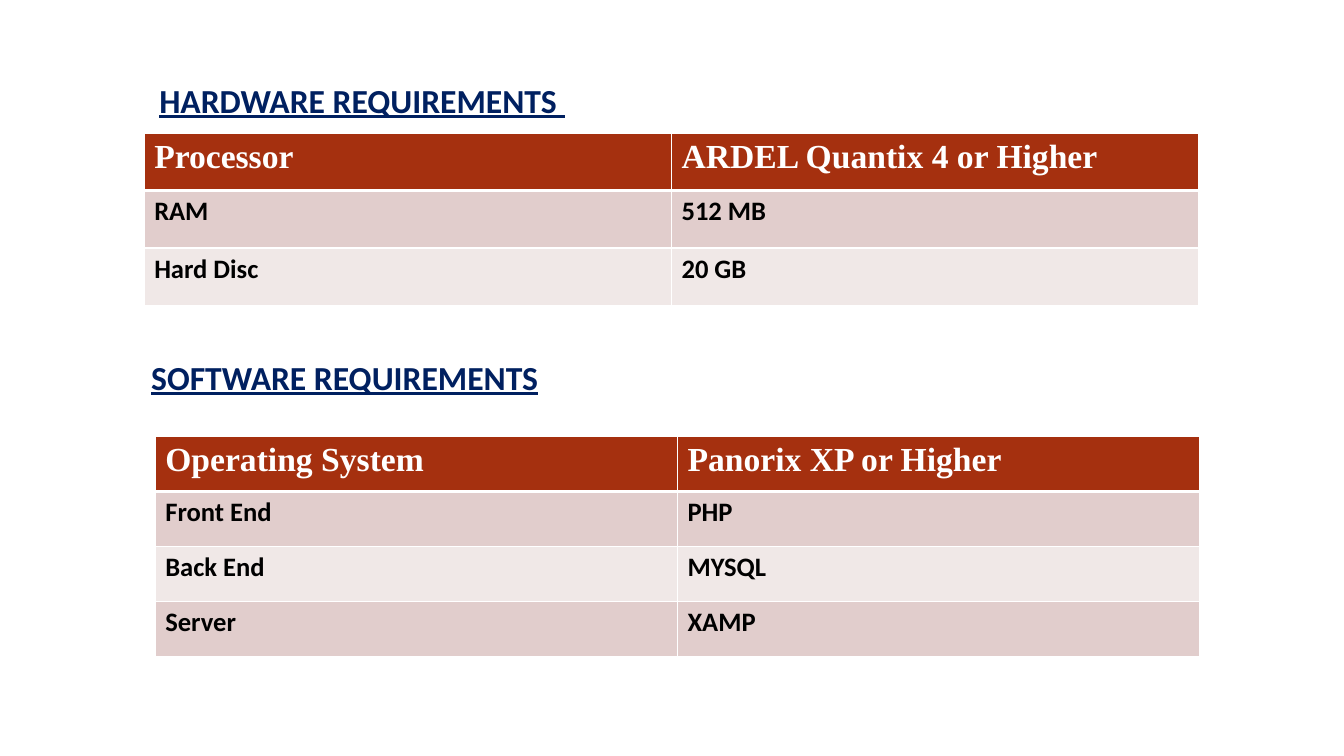
"""Build the hardware and software requirements slide."""
from lxml import etree
from pptx import Presentation
from pptx.dml.color import RGBColor
from pptx.oxml.ns import qn
from pptx.util import Emu, Inches, Pt

COLORS = {
    "heading": "002060",
    "header": "A5300F",
    "odd": "E1CDCC",
    "even": "F0E8E7",
    "light": "FFFFFF",
    "dark": "000000",
}
SECTIONS = [
    {
        "heading": "HARDWARE REQUIREMENTS ",
        "heading_at": (1.58, 0.79),
        "table_at": (1.43, 1.32),
        "size": (10.46, 1.71),
        "rows": [
            ("Processor", "ARDEL Quantix 4 or Higher"),
            ("RAM", "512 MB"),
            ("Hard Disc", "20 GB"),
        ],
    },
    {
        "heading": "SOFTWARE REQUIREMENTS",
        "heading_at": (1.5, 3.54),
        "table_at": (1.54, 4.33),
        "size": (10.36, 2.18),
        "rows": [
            ("Operating System", "Panorix XP or Higher"),
            ("Front End", "PHP"),
            ("Back End", "MYSQL"),
            ("Server", "XAMP"),
        ],
    },
]
HEADING_SIZE = (6, 0.41)


def write_text(frame, text, size, color, font="Calibri", underline=False):
    run = frame.paragraphs[0].add_run()
    run.text = text
    run.font.name = font
    run.font.size = Pt(size)
    run.font.bold = True
    run.font.underline = underline
    run.font.color.rgb = RGBColor.from_string(COLORS[color])


def add_heading(slide, text, position):
    box = slide.shapes.add_textbox(*map(Inches, position + HEADING_SIZE))
    frame = box.text_frame
    frame.word_wrap = True
    frame.margin_left = frame.margin_right = 0
    frame.margin_top = frame.margin_bottom = 0
    write_text(frame, text, 24, "heading", underline=True)


def set_borders(cell, widths):
    properties = cell._tc.get_or_add_tcPr()
    for side, width in widths.items():
        line = etree.SubElement(properties, qn(f"a:ln{side}"), w=str(Pt(width)))
        fill = etree.SubElement(line, qn("a:solidFill"))
        etree.SubElement(fill, qn("a:srgbClr"), val=COLORS["light"])


def add_table(slide, rows, position, size):
    column_count = len(rows[0])
    frame = slide.shapes.add_table(
        len(rows), column_count, *map(Inches, position + size)
    )
    table = frame.table
    for column in table.columns:
        column.width = Emu(Inches(size[0]) // column_count)
    for row_index, values in enumerate(rows):
        table.rows[row_index].height = Emu(Inches(size[1]) // len(rows))
        is_header = row_index == 0
        band = "header" if is_header else ("even", "odd")[row_index % 2]
        for column_index, text in enumerate(values):
            cell = table.cell(row_index, column_index)
            set_borders(cell, {
                "L": 1,
                "R": 1,
                "T": 3 if row_index == 1 else 1,
                "B": 3 if is_header else 1,
            })
            cell.fill.solid()
            cell.fill.fore_color.rgb = RGBColor.from_string(COLORS[band])
            if is_header:
                write_text(cell.text_frame, text, 24, "light", font="Times New Roman")
            else:
                write_text(cell.text_frame, text, 19, "dark")


def main():
    presentation = Presentation()
    presentation.slide_width = Inches(13.33)
    presentation.slide_height = Inches(7.5)
    slide = presentation.slides.add_slide(presentation.slide_layouts[6])
    for section in SECTIONS:
        add_heading(slide, section["heading"], section["heading_at"])
        add_table(slide, section["rows"], section["table_at"], section["size"])
    presentation.save("out.pptx")


if __name__ == "__main__":
    main()
